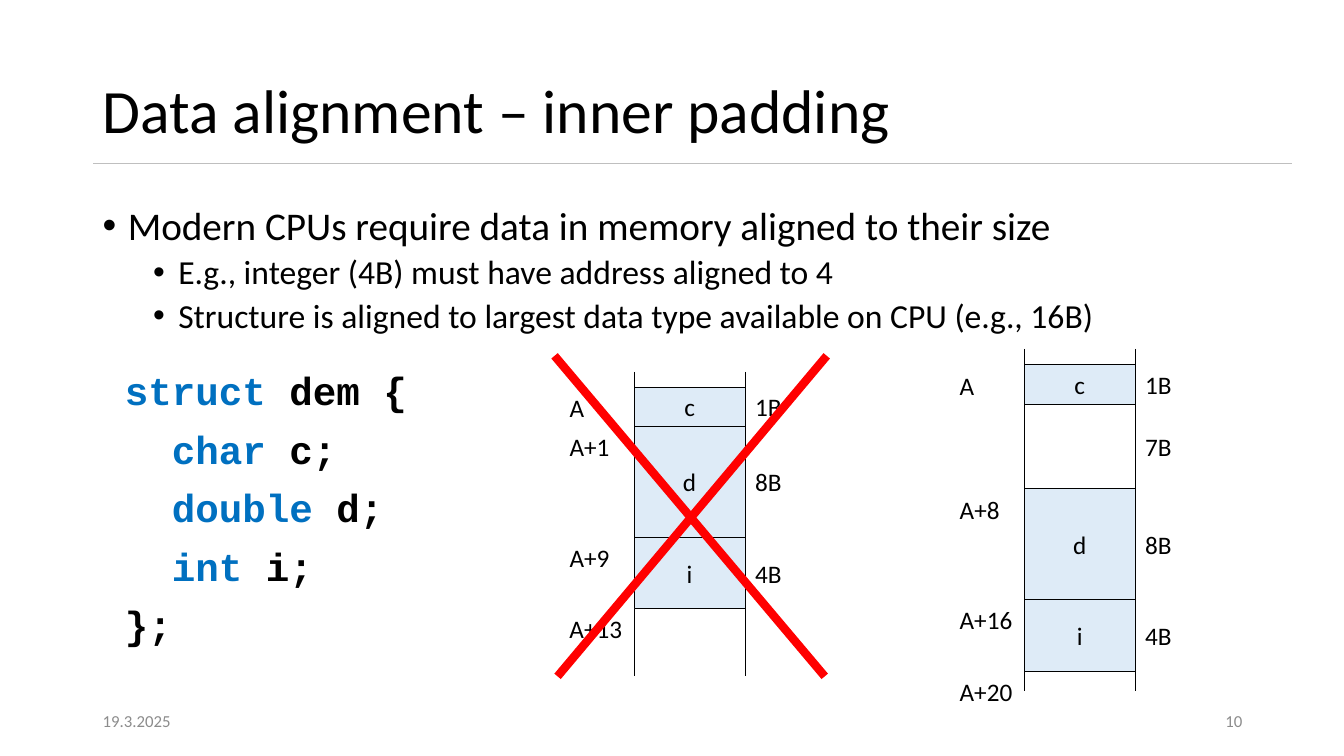
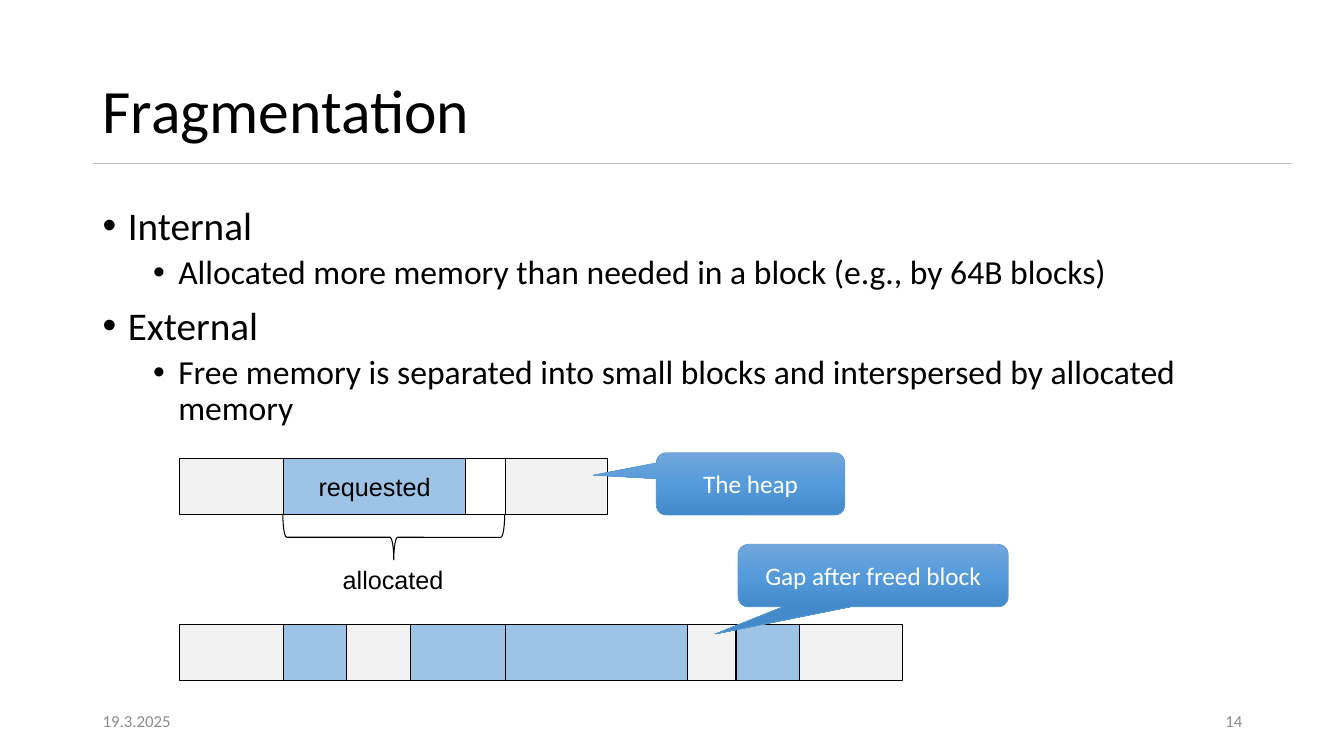
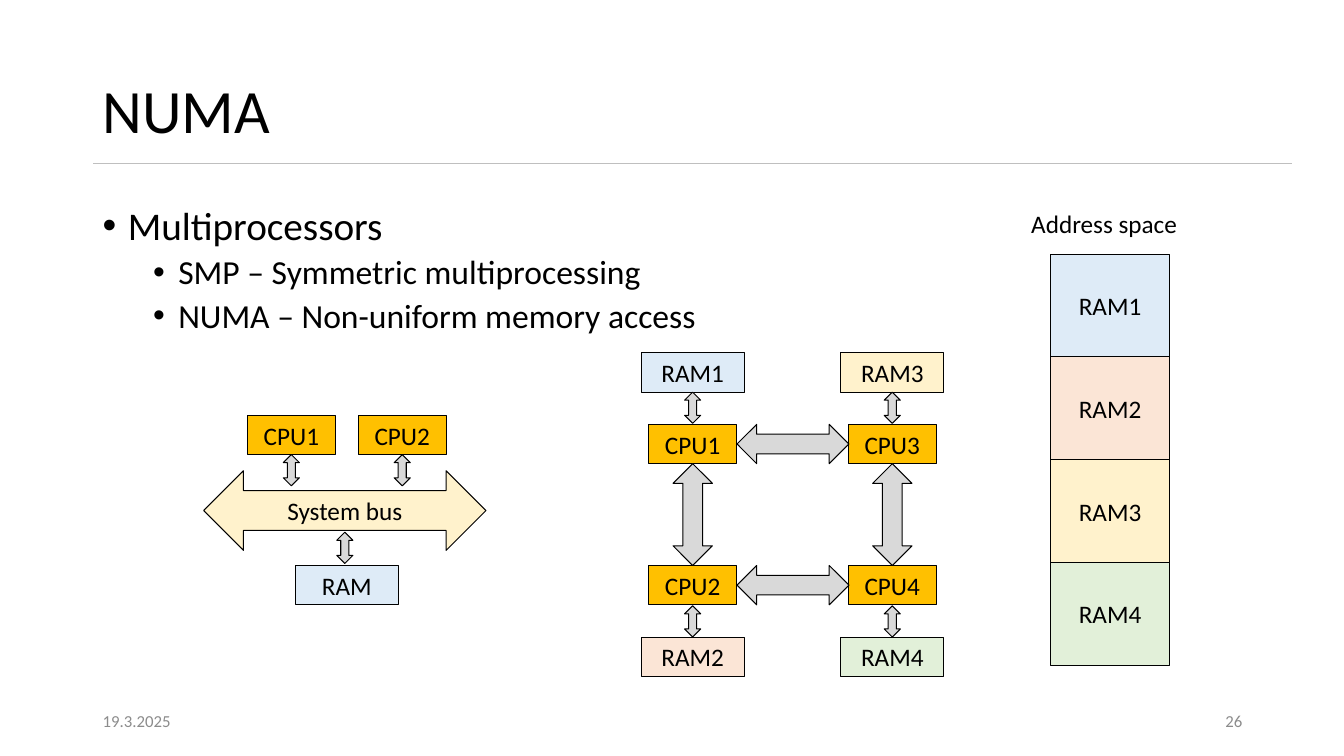
"""Build three lecture slides on data alignment, fragmentation and NUMA."""
from copy import deepcopy

from lxml.etree import SubElement
from pptx import Presentation
from pptx.dml.color import RGBColor
from pptx.enum.shapes import MSO_CONNECTOR as Connector, MSO_SHAPE as Shape
from pptx.enum.text import MSO_ANCHOR as Anchor, PP_ALIGN as Align
from pptx.oxml.ns import qn
from pptx.util import Inches, Pt

BLACK, WHITE, RED, GREY = "000000", "FFFFFF", "FF0000", "8C8C8C"
RULE, KEYWORD = "BFBFBF", "0070C0"
PALE_BLUE, PALE_YELLOW, PALE_PINK, PALE_GREEN = "DEEBF7", "FFF2CC", "FBE5D6", "E2F0D9"
FREE, USED, CPU, ARROW = "F2F2F2", "9DC3E6", "FFC000", "D9D9D9"
CALLOUT_STOPS = [(0, "71A6DB"), (0.5, "559BDB"), (1, "448ACA")]
RAM_COLOURS = {"RAM1": PALE_BLUE, "RAM2": PALE_PINK, "RAM3": PALE_YELLOW, "RAM4": PALE_GREEN}
DATE = "19.3.2025"
BULLET_STYLES = [(28, 0.25, 10), (24, 0.75, 5)]
CELL_WIDTH, BOX_HEIGHT, LABEL_HEIGHT = 1.1, 0.39, 0.4
HEAP_LEFT, HEAP_HEIGHT = 1.78, 0.55


def colour(value):
    """Turn a hex string into a colour."""
    return RGBColor.from_string(value)


def style(para, size, shade=BLACK, font="Calibri", bold=False, align=Align.LEFT):
    """Set alignment and font of a whole paragraph."""
    para.alignment = align
    para.font.size = Pt(size)
    para.font.name = font
    para.font.bold = bold
    if shade:
        para.font.color.rgb = colour(shade)


def add_box(canvas, frame, wrap=True, anchor=Anchor.TOP):
    """Add an empty text box and return its text frame."""
    text = canvas.add_textbox(*map(Inches, frame)).text_frame
    text.word_wrap = wrap
    text.vertical_anchor = anchor
    return text


def add_text(canvas, frame, words, size, anchor=Anchor.MIDDLE, wrap=True, **look):
    """Add a text box with one paragraph."""
    para = add_box(canvas, frame, wrap, anchor).paragraphs[0]
    para.text = words
    para.line_spacing = 0.9 if size > 40 else 1.0
    style(para, size, **look)


def add_label(canvas, left, top, words, width=None, font="Calibri"):
    """Add a short label as wide as its words."""
    width = width or 0.22 + 0.13 * len(words)
    add_text(canvas, (left, top, width, LABEL_HEIGHT), words, 18, Anchor.TOP, False, font=font)


def add_line(canvas, start, end, shade=BLACK, weight=0.75):
    """Add a straight line without shadow."""
    line = canvas.add_connector(Connector.STRAIGHT, *map(Inches, start + end))
    line.line.color.rgb = colour(shade)
    line.line.width = Pt(weight)
    SubElement(line.element.spPr, qn("a:effectLst"))


def add_block(canvas, frame, fill, words="", kind=Shape.RECTANGLE, font="Calibri"):
    """Add an outlined shape with optional centred text."""
    block = canvas.add_shape(kind, *map(Inches, frame))
    block.shadow.inherit = False
    if fill:
        block.fill.solid()
        block.fill.fore_color.rgb = colour(fill)
    else:
        block.fill.background()
    block.line.color.rgb = colour(BLACK)
    block.line.width = Pt(0.75)
    if words:
        block.text_frame.word_wrap = False
        block.text_frame.vertical_anchor = Anchor.MIDDLE
        para = block.text_frame.paragraphs[0]
        para.text = words
        style(para, 18, font=font, align=Align.CENTER)
    return block


def add_callout(canvas, frame, words, tip):
    """Add a gradient speech bubble pointing to its tip."""
    bubble = canvas.add_shape(Shape.ROUNDED_RECTANGULAR_CALLOUT, *map(Inches, frame))
    bubble.shadow.inherit = False
    for index, value in enumerate(tip + (0.167,)):
        bubble.adjustments[index] = value
    bubble.fill.gradient()
    bubble.fill.gradient_angle = 270
    stops = bubble.element.spPr.find(qn("a:gradFill")).find(qn("a:gsLst"))
    stops.append(deepcopy(stops[0]))
    for stop, (position, shade) in zip(bubble.fill.gradient_stops, CALLOUT_STOPS):
        stop.position = position
        stop.color.rgb = colour(shade)
    bubble.line.color.rgb = colour("5B9BD5")
    bubble.line.width = Pt(0.5)
    bubble.text_frame.word_wrap = True
    bubble.text_frame.vertical_anchor = Anchor.MIDDLE
    para = bubble.text_frame.paragraphs[0]
    para.text = words
    style(para, 18, WHITE, align=Align.CENTER)


def add_bullets(canvas, items):
    """Add the body list from pairs of level and words."""
    body = add_box(canvas, (0.92, 2, 11.5, 4.76))
    for index, (level, words) in enumerate(items):
        para = body.add_paragraph() if index else body.paragraphs[0]
        size, indent, gap = BULLET_STYLES[level]
        para.text = words
        para.level = level
        para.line_spacing = 0.9
        para.space_before = Pt(gap if index else 0)
        props = para._p.get_or_add_pPr()
        props.set("marL", str(Inches(indent)))
        props.set("indent", str(Inches(-0.25)))
        SubElement(props, qn("a:buFont")).set("typeface", "Arial")
        SubElement(props, qn("a:buChar")).set("char", "•")
        style(para, size)


def add_code(canvas, frame, lines):
    """Add code whose lines hold indent, keyword and remainder."""
    code = add_box(canvas, frame)
    for index, parts in enumerate(lines):
        para = code.add_paragraph() if index else code.paragraphs[0]
        para.line_spacing = 0.9
        para.space_before = Pt(11.5 if index else 0)
        style(para, 28, None, "Courier New", True)
        for words, shade in zip(parts, (BLACK, KEYWORD, BLACK)):
            if words:
                span = para.add_run()
                span.text = words
                span.font.color.rgb = colour(shade)


def add_page(deck, title, number, bullets):
    """Add a slide with rule, title, bullets and footer."""
    page = deck.slides.add_slide(deck.slide_layouts[6])
    canvas = page.shapes
    add_line(canvas, (12.81, 1.62), (0.92, 1.62), RULE, 1)
    add_text(canvas, (0.92, 0.4, 10.63, 1.45), title, 44)
    add_bullets(canvas, bullets)
    add_text(canvas, (0.92, 6.95, 3, 0.4), DATE, 12, shade=GREY)
    add_text(canvas, (9.42, 6.95, 3, 0.4), str(number), 12, shade=GREY, align=Align.RIGHT)
    return canvas


def add_memory(canvas, left, walls, top, cells, end):
    """Stack memory cells between two walls with offsets and sizes."""
    for wall in (left, left + CELL_WIDTH):
        add_line(canvas, (wall, walls[0]), (wall, walls[1]))
    for name, offset, size, height in cells:
        if name:
            add_block(canvas, (left, top, CELL_WIDTH, height), PALE_BLUE, name)
            add_label(canvas, left - 0.74, top, offset)
        add_label(canvas, left + CELL_WIDTH, top + (height - LABEL_HEIGHT) / 2, size)
        top += height
    add_label(canvas, left - 0.74, top, end)


def add_heap(canvas, top, blocks):
    """Lay heap blocks side by side from pairs of width and fill."""
    left = HEAP_LEFT
    for width, fill, *words in blocks:
        add_block(canvas, (left, top, width, HEAP_HEIGHT), fill, *words, font="Arial")
        left += width


def add_centred(canvas, centre, top, width, fill, words="", height=BOX_HEIGHT, kind=Shape.RECTANGLE):
    """Add a block centred on a vertical axis."""
    add_block(canvas, (centre - width / 2, top, width, height), fill, words, kind)


def add_link(canvas, centre, top, width=0.16, height=0.31):
    """Add a vertical double arrow."""
    add_centred(canvas, centre, top, width, ARROW, height=height, kind=Shape.UP_DOWN_ARROW)


def build_alignment(deck):
    """Build the slide on inner padding."""
    canvas = add_page(deck, "Data alignment – inner padding", 10, [
        (0, "Modern CPUs require data in memory aligned to their size"),
        (1, "E.g., integer (4B) must have address aligned to 4"),
        (1, "Structure is aligned to largest data type available on CPU (e.g., 16B)")])
    add_code(canvas, (1.14, 3.64, 3.08, 2.91), [
        ("", "struct", " dem {"), ("  ", "char", " c;"), ("  ", "double", " d;"),
        ("  ", "int", " i;"), ("};",)])
    add_memory(canvas, 6.29, (3.69, 6.71), 3.84, [
        ("c", "A", "1B", 0.39), ("d", "A+1", "8B", 1.1), ("i", "A+9", "4B", 0.71)], "A+13")
    add_memory(canvas.add_group_shape().shapes, 10.16, (3.46, 6.86), 3.62, [
        ("c", "A", "1B", 0.39), (None, None, "7B", 0.84),
        ("d", "A+8", "8B", 1.1), ("i", "A+16", "4B", 0.71)], "A+20")
    add_line(canvas, (5.5, 3.53), (8.18, 6.71), RED, 6)
    add_line(canvas, (8.2, 3.53), (5.53, 6.71), RED, 6)


def build_fragmentation(deck):
    """Build the slide on heap fragmentation."""
    canvas = add_page(deck, "Fragmentation", 14, [
        (0, "Internal"),
        (1, "Allocated more memory than needed in a block (e.g., by 64B blocks)"),
        (0, "External"),
        (1, "Free memory is separated into small blocks and interspersed by allocated memory")])
    add_heap(canvas, 4.55, [(1.03, FREE), (1.81, USED, "requested"), (0.39, WHITE), (1.02, FREE)])
    brace = add_block(canvas, (3.68, 4.23, 0.45, 2.2), None, kind=Shape.RIGHT_BRACE)
    brace.rotation = 90
    add_label(canvas, 3.3, 5.55, "allocated", 1.21, "Arial")
    add_heap(canvas, 6.2, [
        (1.03, FREE), (0.63, USED), (0.63, FREE), (0.94, USED),
        (1.81, USED), (0.48, FREE), (0.63, USED), (1.02, FREE)])
    add_callout(canvas, (6.51, 4.49, 1.87, 0.62), "The heap", (-0.834, -0.139))
    add_callout(canvas, (7.32, 5.4, 2.68, 0.62), "Gap after freed block", (-0.585, 0.936))


def build_numa(deck):
    """Build the slide on multiprocessor memory."""
    canvas = add_page(deck, "NUMA", 26, [
        (0, "Multiprocessors"),
        (1, "SMP – Symmetric multiprocessing"),
        (1, "NUMA – Non-uniform memory access")])
    add_centred(canvas, 3.42, 4.67, 2.8, PALE_YELLOW, "System bus", 0.79, Shape.LEFT_RIGHT_ARROW)
    for centre, name in ((2.89, "CPU1"), (3.99, "CPU2")):
        add_centred(canvas, centre, 4.12, 0.87, CPU, name)
        add_link(canvas, centre, 4.51)
    add_centred(canvas, 3.44, 5.61, 1.02, PALE_BLUE, "RAM")
    add_link(canvas, 3.42, 5.28)

    rows = ((4.21, 3.5, 3.89), (5.61, 6.32, 6.01))
    for column, centre in enumerate((6.87, 8.85)):
        for row, (cpu_top, ram_top, link_top) in enumerate(rows):
            number = 2 * column + row + 1
            ram = f"RAM{number}"
            add_centred(canvas, centre, cpu_top, 0.87, CPU, f"CPU{number}")
            add_centred(canvas, centre, ram_top, 1.02, RAM_COLOURS[ram], ram)
            add_link(canvas, centre, link_top)
        add_link(canvas, centre, 4.6, 0.39, 1.01)
    for cpu_top, *_ in rows:
        add_block(canvas, (7.31, cpu_top, 1.11, BOX_HEIGHT), ARROW, kind=Shape.LEFT_RIGHT_ARROW)

    add_label(canvas, 10.13, 2.02, "Address space", 1.66)
    space = canvas.add_group_shape().shapes
    for index, (name, fill) in enumerate(RAM_COLOURS.items()):
        add_block(space, (10.42, 2.52 + 1.02 * index, 1.18, 1.02), fill, name)


def main():
    """Build and save the deck."""
    deck = Presentation()
    deck.slide_width, deck.slide_height = Inches(13.33), Inches(7.5)
    build_alignment(deck)
    build_fragmentation(deck)
    build_numa(deck)
    deck.save("out.pptx")


if __name__ == "__main__":
    main()
